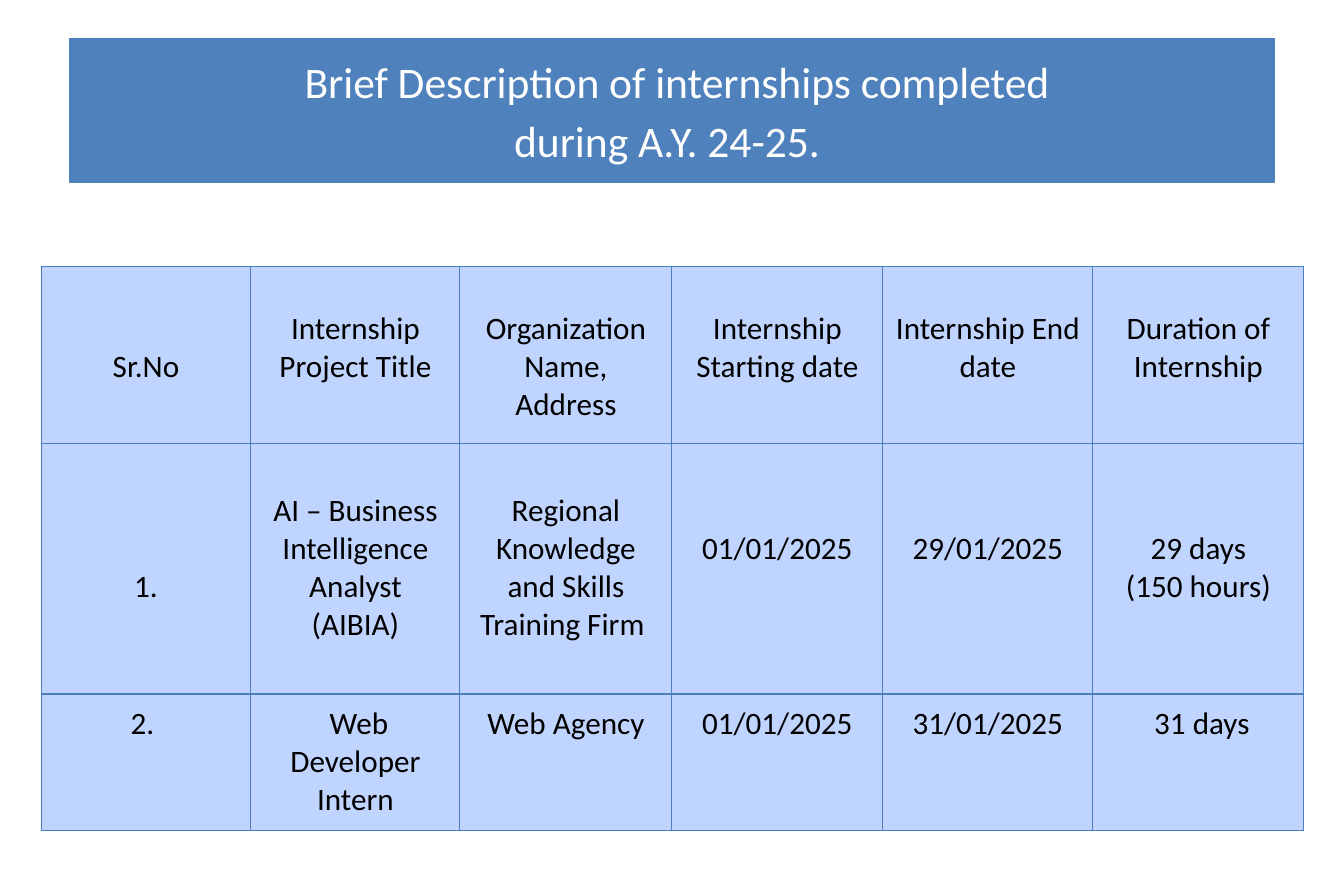
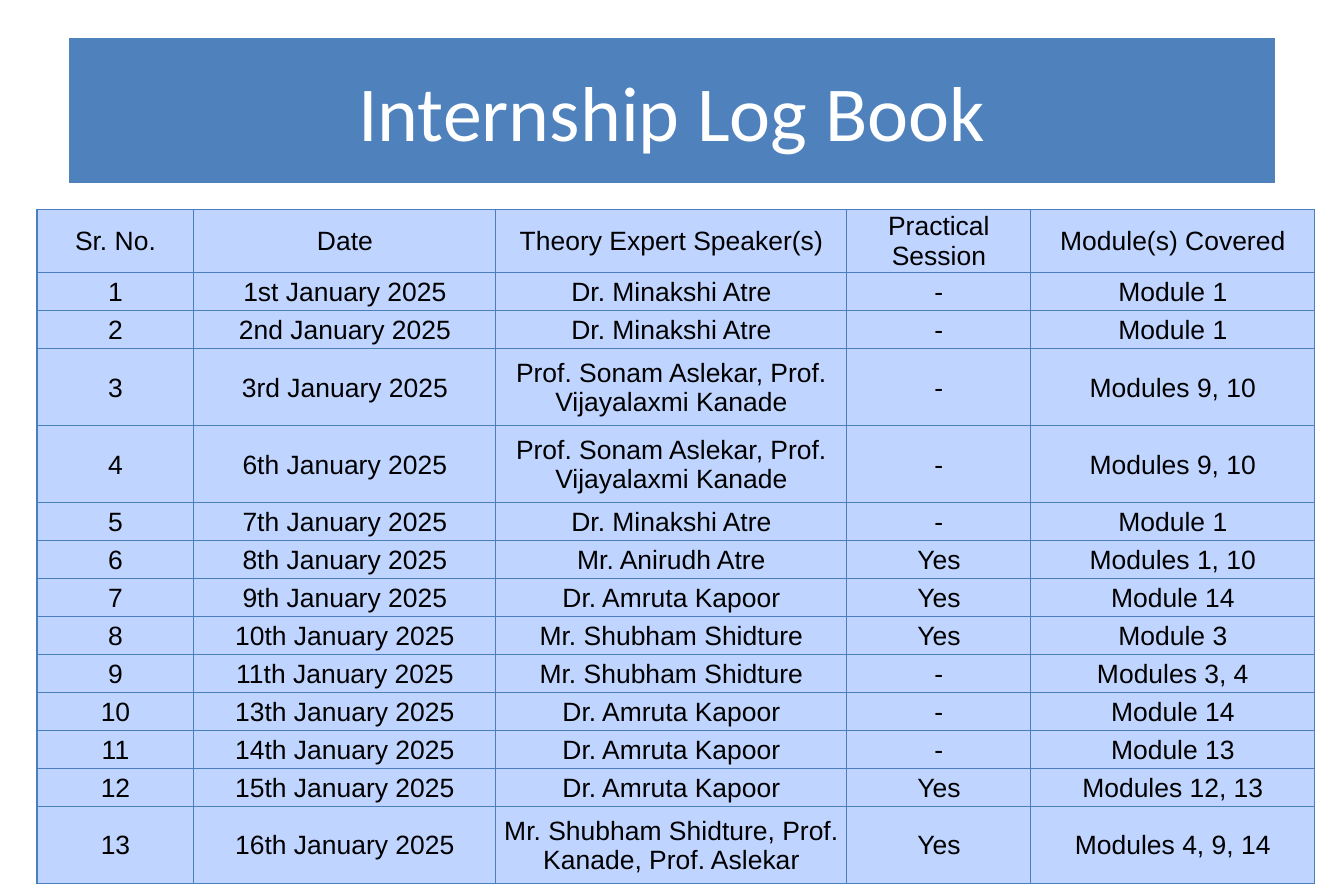
from lxml import etree
from pptx import Presentation
from pptx import util as u
from pptx.dml.color import RGBColor
from pptx.enum import shapes, text
from pptx.oxml import ns

PX = u.Inches(1) / 112
BLUE = RGBColor(0x4F, 0x81, 0xBD)
PALE = RGBColor(0xBF, 0xD4, 0xFF)
EDGE = RGBColor(0x4B, 0x7E, 0xBC)
WHITE = RGBColor(0xFF, 0xFF, 0xFF)
BLACK = RGBColor(0, 0, 0)
MID = text.MSO_ANCHOR.MIDDLE
TOP = text.MSO_ANCHOR.TOP


def px(n):
    return int(n * PX)


def write(frame, words, size, font="Calibri", color=BLACK, gap=0):
    frame.word_wrap = True
    for n, line in enumerate(words.split("\n")):
        para = frame.paragraphs[0] if n == 0 else frame.add_paragraph()
        para.alignment = text.PP_ALIGN.CENTER
        if n and gap:
            para.space_before = u.Pt(gap)
        run = para.add_run()
        run.text = line
        run.font.size = u.Pt(size)
        run.font.name = font
        run.font.color.rgb = color


def grid(slide, left, top, cols, rows, data, pads, anchor, **form):
    frame = slide.shapes.add_table(len(rows), len(cols), px(left), px(top),
                                   px(sum(cols)), px(sum(rows)))
    table = frame.table
    table.first_row = table.horz_banding = False
    for col, wide in zip(table.columns, cols):
        col.width = px(wide)
    for row, high in zip(table.rows, rows):
        row.height = px(high)
    for r, line in enumerate(data):
        side, low, tops = pads[r]
        for c, words in enumerate(line):
            cell = table.cell(r, c)
            cell.margin_left = cell.margin_right = px(side)
            cell.margin_top, cell.margin_bottom = px(tops[c]), px(low)
            cell.vertical_anchor = anchor
            props = cell._tc.get_or_add_tcPr()
            for tag in ("a:lnL", "a:lnR", "a:lnT", "a:lnB"):
                edge = etree.SubElement(props, ns.qn(tag), w=str(u.Pt(0.75)))
                fill = etree.SubElement(edge, ns.qn("a:solidFill"))
                etree.SubElement(fill, ns.qn("a:srgbClr"), val=str(EDGE))
            cell.fill.solid()
            cell.fill.fore_color.rgb = PALE
            write(cell.text_frame, words, **form)


deck = Presentation()
deck.slide_width, deck.slide_height = px(1344), px(896)

heads = [
    (" Brief Description of internships completed\nduring A.Y. 24-25. ", 28),
    ("Internship Log Book", 50),
]
slides = []
for words, size in heads:
    slide = deck.slides.add_slide(deck.slide_layouts[6])
    band = slide.shapes.add_shape(shapes.MSO_SHAPE.RECTANGLE,
                                  px(67), px(36), px(1210), px(149))
    band.shadow.inherit = False
    band.fill.solid()
    band.fill.fore_color.rgb = BLUE
    band.line.color.rgb = WHITE
    band.line.width = u.Pt(3)
    frame = band.text_frame
    frame.vertical_anchor = MID
    frame.margin_left = frame.margin_right = px(12)
    frame.margin_top = frame.margin_bottom = px(7)
    write(frame, words, size, color=WHITE, gap=4.6)
    slides.append(slide)

brief = [
    ["Sr.No", "Internship Project Title", "Organization Name, Address",
     "Internship Starting date", "Internship End date", "Duration of Internship"],
    ["1.", "AI – Business Intelligence Analyst (AIBIA)",
     "Regional Knowledge and Skills Training Firm ",
     "01/01/2025", "29/01/2025", "29 days\n(150 hours)"],
    ["2. ", " Web Developer Intern", "Web Agency",
     "01/01/2025", "31/01/2025", " 31 days"],
]
drops = [[2, 1, 1, 1, 1, 1], [3, 1, 1, 2, 2, 2], [0] * 6]
pads = [(11, pad, [pad + 38 * n for n in drop])
        for pad, drop in zip((6, 11, 11), drops)]
grid(slides[0], 41, 266, [210, 209, 212, 211, 210, 211], [177, 251, 137],
     brief, pads, TOP, size=20)

atre, kapoor, shid = "Dr. Minakshi Atre", "Dr. Amruta Kapoor", "Mr. Shubham Shidture"
pair = "Prof. Sonam Aslekar, Prof. Vijayalaxmi Kanade"
days = [
    ("1st", atre, "-", "Module 1"),
    ("2nd", atre, "-", "Module 1"),
    ("3rd", pair, "-", "Modules 9, 10"),
    ("6th", pair, "-", "Modules 9, 10"),
    ("7th", atre, "-", "Module 1"),
    ("8th", "Mr. Anirudh Atre", "Yes", "Modules 1, 10"),
    ("9th", kapoor, "Yes", "Module 14"),
    ("10th", shid, "Yes", "Module 3"),
    ("11th", shid, "-", "Modules 3, 4"),
    ("13th", kapoor, "-", "Module 14"),
    ("14th", kapoor, "-", "Module 13"),
    ("15th", kapoor, "Yes", "Modules 12, 13"),
    ("16th", "Mr. Shubham Shidture, Prof. Kanade, Prof. Aslekar", "Yes",
     "Modules 4, 9, 14"),
]
log = [["Sr. No.", "Date", "Theory Expert Speaker(s)", "Practical Session",
        "Module(s) Covered"]]
rows = [64]
for n, (day, who, lab, topic) in enumerate(days, 1):
    log.append([str(n), f"{day} January 2025", who, lab, topic])
    rows.append(77 if "," in who else 38)
grid(slides[1], 37, 209, [157, 302, 351, 184, 284], rows, log,
     [(1, 0, [1] * 5)] * len(rows), MID, size=17, font="Arial")

deck.save("out.pptx")
